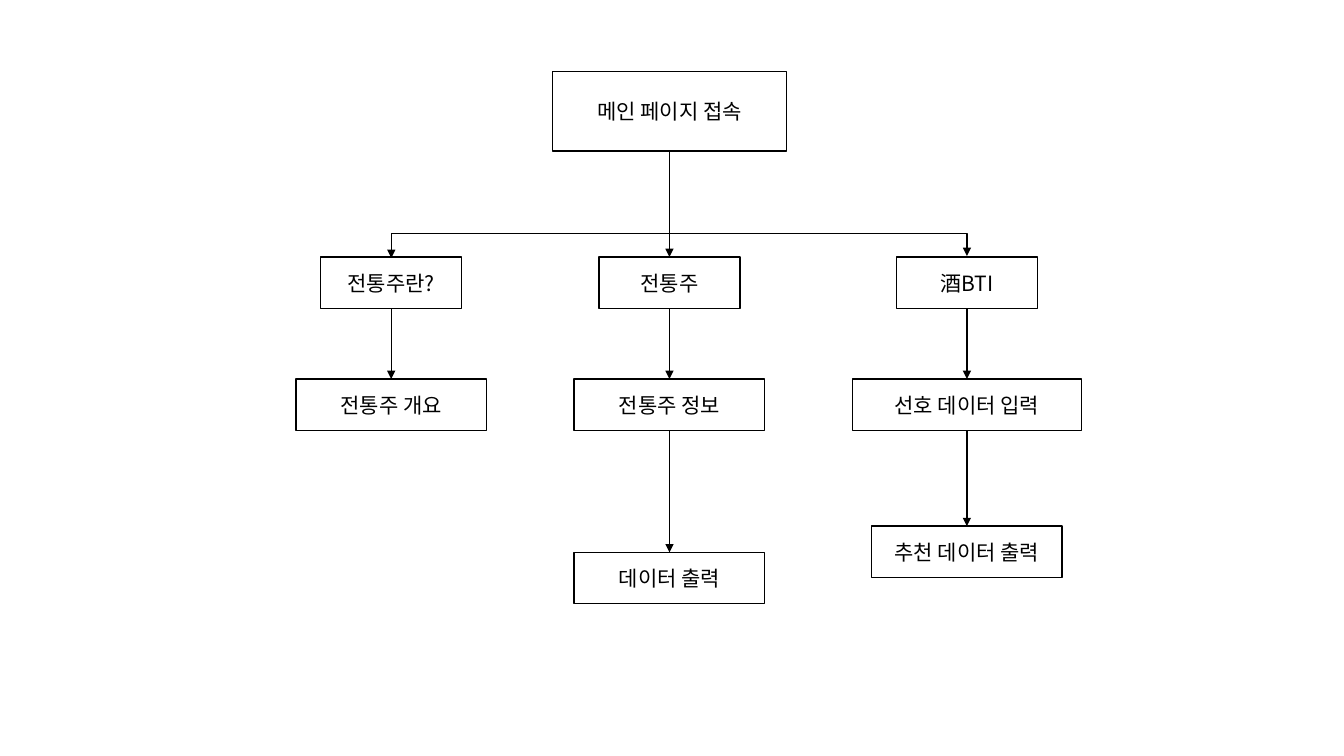
from dataclasses import dataclass

from lxml.etree import SubElement
from pptx import Presentation
from pptx.dml.color import RGBColor
from pptx.enum.shapes import MSO_CONNECTOR, MSO_SHAPE
from pptx.enum.text import MSO_ANCHOR, PP_ALIGN
from pptx.oxml.ns import qn
from pptx.util import Inches, Pt


@dataclass(frozen=True)
class Theme:
    ink: RGBColor = RGBColor(0, 0, 0)
    paper: RGBColor = RGBColor(255, 255, 255)
    font: str = "Noto Sans CJK KR"
    size: Pt = Pt(15)
    line: Pt = Pt(1)


THEME = Theme()
ROOT = ("메인 페이지 접속", 6.64, 0.71, 2.32, 0.79)
STEP = 0.51  # height of a step box
TOP = 2.55  # top of the first step in each branch
# Each branch: centre, then its steps as (text, top, width)
FLOWS = [
    (3.88, [("전통주란?", TOP, 1.4), ("전통주 개요", 3.76, 1.89)]),
    (6.64, [("전통주", TOP, 1.4), ("전통주 정보", 3.76, 1.89),
            ("데이터 출력", 5.48, 1.89)]),
    (9.59, [("酒BTI", TOP, 1.4), ("선호 데이터 입력", 3.76, 2.27),
            ("추천 데이터 출력", 5.22, 1.89)]),
]


def add_box(slide, text, mid, top, width, height=STEP):
    """Draw a box centred on mid."""
    box = slide.shapes.add_shape(
        MSO_SHAPE.RECTANGLE, Inches(mid - width / 2), Inches(top),
        Inches(width), Inches(height))
    box.shadow.inherit = False
    box.fill.solid()
    box.fill.fore_color.rgb = THEME.paper
    box.line.color.rgb = THEME.ink
    box.line.width = THEME.line
    frame = box.text_frame
    frame.text = text
    frame.vertical_anchor = MSO_ANCHOR.MIDDLE
    para = frame.paragraphs[0]
    para.alignment = PP_ALIGN.CENTER
    run = para.runs[0]
    run.font.name = THEME.font
    run.font.size = THEME.size
    run.font.color.rgb = THEME.ink
    face = SubElement(run.font._element, qn("a:ea"))
    face.set("typeface", THEME.font)


def add_link(slide, kind, start, end, tips=("tailEnd",)):
    """Draw a connector with triangle tips."""
    link = slide.shapes.add_connector(
        kind, *(Inches(n) for n in (*start, *end)))
    link.line.color.rgb = THEME.ink
    link.line.width = THEME.line
    for tip in tips:
        mark = SubElement(link.line._get_or_add_ln(), qn(f"a:{tip}"))
        mark.set("type", "triangle")
    SubElement(link._element.spPr, qn("a:effectLst"))
    return link


def add_arrow(slide, mid, top, end):
    add_link(slide, MSO_CONNECTOR.STRAIGHT, (mid, top), (mid, end))


def add_rail(slide, left, right, base, rise=0.24, skew=0.02):
    """Join two box tops by an elbow turned a quarter."""
    mid, half = (left + right) / 2, (right - left) / 2
    rail = add_link(
        slide, MSO_CONNECTOR.ELBOW, (mid + skew / 2, base + half),
        (mid - skew / 2, base - half), ("headEnd", "tailEnd"))
    props = rail._element.spPr
    props.find(qn("a:xfrm")).set("rot", str(90 * 60000))
    # The bend lies beyond the ends, as a share of the skew
    guide = SubElement(props.find(qn("a:prstGeom")).find(qn("a:avLst")),
                       qn("a:gd"))
    guide.set("name", "adj1")
    guide.set("fmla", f"val {round(rise / skew * 100000)}")


def add_flow(slide, mid, steps):
    """Draw a branch of boxes with arrows between them."""
    for text, top, width in steps:
        add_box(slide, text, mid, top, width)
    for (_, top, _), (_, end, _) in zip(steps, steps[1:]):
        add_arrow(slide, mid, top + STEP, end)


def main():
    deck = Presentation()
    deck.slide_width, deck.slide_height = Inches(13.33), Inches(7.5)
    slide = deck.slides.add_slide(deck.slide_layouts[6])

    # Main page and its branches
    add_box(slide, *ROOT)
    for mid, steps in FLOWS:
        add_flow(slide, mid, steps)

    # Links from the main page to the branches
    _, mid, top, _, height = ROOT
    add_arrow(slide, mid, top + height, TOP)
    add_rail(slide, FLOWS[0][0], FLOWS[-1][0], TOP)

    deck.save("out.pptx")


main()
